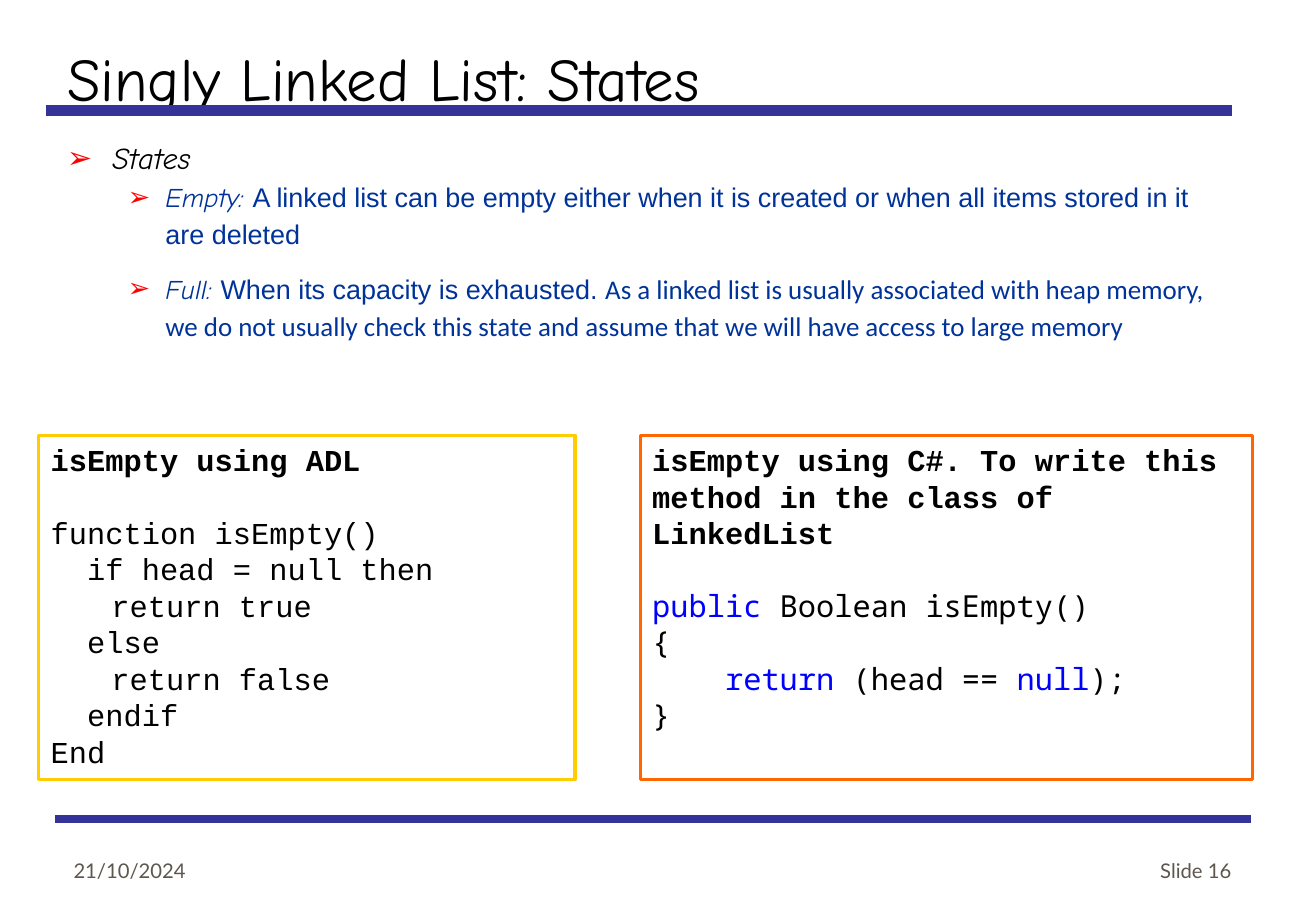
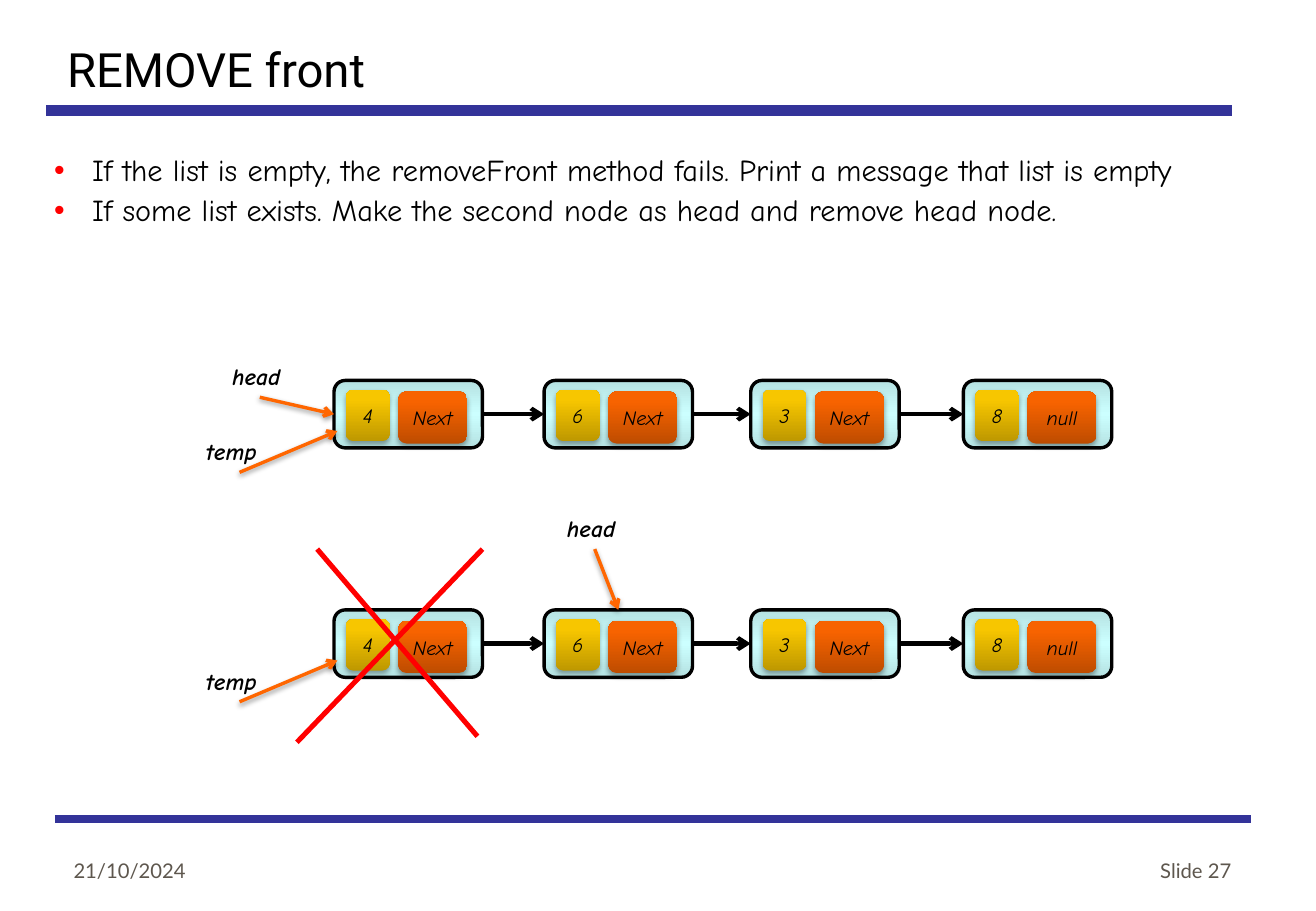
from dataclasses import dataclass

from pptx import Presentation
from pptx.dml.color import RGBColor
from pptx.enum.shapes import MSO_CONNECTOR, MSO_SHAPE
from pptx.enum.text import MSO_ANCHOR, MSO_AUTO_SIZE, PP_ALIGN
from pptx.oxml import parse_xml
from pptx.oxml.ns import nsdecls
from pptx.util import Pt

STRAIGHT = MSO_CONNECTOR.STRAIGHT
RECT, ROUNDED = MSO_SHAPE.RECTANGLE, MSO_SHAPE.ROUNDED_RECTANGLE
TOP, MIDDLE, BOTTOM = MSO_ANCHOR.TOP, MSO_ANCHOR.MIDDLE, MSO_ANCHOR.BOTTOM
LEFT, CENTER, RIGHT = PP_ALIGN.LEFT, PP_ALIGN.CENTER, PP_ALIGN.RIGHT
NO_FIT = MSO_AUTO_SIZE.NONE
SITE_TOP, SITE_LEFT, SITE_RIGHT = 0, 1, 3


@dataclass(frozen=True)
class Theme:
    """Colours, fonts and type sizes of the presentation."""
    black: str = "000000"
    white: str = "FFFFFF"
    rule: str = "333399"
    detail: str = "003399"
    keyword: str = "0000FF"
    red: str = "FF0000"
    orange: str = "FF6600"
    yellow: str = "FFCC00"
    footer: str = "5E574E"
    node_fill: tuple = (90, (0, "B5E2E2"), (50, "CCFFFF"), (100, "B5E2E2"))
    value_fill: tuple = (270, (0, "BE9800"), (80, "F7C600"), (100, "F8C700"))
    link_fill: tuple = (270, (0, "BE4C00"), (80, "F76300"), (100, "F86300"))
    hand: str = "Comic Neue"
    code: str = "Courier New"
    mono: str = "Noto Sans Mono"
    body_size: int = 18
    detail_size: int = 16
    label_size: int = 14
    small_size: int = 12
    code_pitch: float = 21.6


THEME = Theme()


def apply(target, formats):
    """Set every attribute named in formats on target."""
    for name, value in formats.items():
        setattr(target, name, value)


def face(name, size, color=THEME.black, bold=False, italic=False):
    """Return the font and colour formats of a run."""
    return {"name": name, "size": Pt(size), "bold": bold, "italic": italic}, color


HEADING = face(THEME.hand, THEME.body_size, italic=True)
POINT = face(THEME.hand, THEME.body_size)
TERM = face(THEME.hand, THEME.detail_size, THEME.detail, italic=True)
DETAIL = face("Arial", THEME.detail_size, THEME.detail)
REMARK = face("Calibri", THEME.detail_size, THEME.detail)
FOOTER = face("Lato", THEME.small_size, THEME.footer)
CELL = face(THEME.hand, THEME.small_size, italic=True)
LABEL = face(THEME.hand, THEME.label_size, bold=True, italic=True)
CODE_HEAD = face(THEME.code, THEME.body_size, bold=True)
CODE = face(THEME.code, THEME.body_size)
MONO = face(THEME.mono, THEME.body_size)
KEYWORD = face(THEME.mono, THEME.body_size, THEME.keyword)


def write(paragraph, runs, **formats):
    """Fill a paragraph with (text, face) runs."""
    apply(paragraph, formats)
    for text, (font, color) in runs:
        run = paragraph.add_run()
        run.text = text
        apply(run.font, font)
        run.font.color.rgb = RGBColor.from_string(color)


def paragraphs(frame, count):
    """Return the first paragraph of a frame and the added ones."""
    return [frame.paragraphs[0]] + [frame.add_paragraph() for _ in range(count - 1)]


def text_box(slide, box, anchor=TOP):
    """Add a wrapping text box and return its frame."""
    frame = slide.shapes.add_textbox(*map(Pt, box)).text_frame
    apply(frame, {"word_wrap": True, "auto_size": NO_FIT, "vertical_anchor": anchor})
    return frame


def set_effect(shape, blur=0, distance=0, alpha=0):
    """Give a shape a downward shadow, or none when blur is zero."""
    shadow = (f'<a:outerShdw blurRad="{Pt(blur)}" dist="{Pt(distance)}" dir="5400000" rotWithShape="0">'
              f'<a:srgbClr val="{THEME.black}"><a:alpha val="{alpha * 1000}"/></a:srgbClr>'
              '</a:outerShdw>') if blur else ""
    shape._element.spPr.append(parse_xml(f'<a:effectLst {nsdecls("a")}>{shadow}</a:effectLst>'))


def set_gradient(shape, gradient):
    """Fill a shape with a linear gradient given as angle and stops."""
    angle, *stops = gradient
    marks = "".join(f'<a:gs pos="{pos * 1000}"><a:srgbClr val="{color}"/></a:gs>' for pos, color in stops)
    shape.fill.background()
    plain = shape._element.spPr.find("{*}noFill")
    plain.addnext(parse_xml(f'<a:gradFill {nsdecls("a")} rotWithShape="1"><a:gsLst>{marks}</a:gsLst>'
                            f'<a:lin ang="{angle * 60000}" scaled="0"/></a:gradFill>'))
    shape._element.spPr.remove(plain)


def outline(shape, color, width):
    """Colour the line of a shape or connector."""
    shape.line.color.rgb = RGBColor.from_string(color)
    shape.line.width = Pt(width)


def add_line(slide, start, end, color, width, arrow=False, shadow=()):
    """Add a straight line, with an arrowhead at its end if asked."""
    line = slide.shapes.add_connector(STRAIGHT, *map(Pt, (*start, *end)))
    outline(line, color, width)
    if arrow:
        line.line._get_or_add_ln().append(parse_xml(f'<a:tailEnd {nsdecls("a")} type="arrow"/>'))
    set_effect(line, *shadow)
    return line


def add_frame(slide, title, number, title_box, title_face):
    """Write the title, rules and footers that every slide carries."""
    for start, end, width in (((27.5, 65.5), (730, 65.5), 6), ((32.5, 485.5), (741.5, 485.5), 4.5)):
        add_line(slide, start, end, THEME.rule, width)
    holder = slide.shapes.title
    apply(holder, dict(zip(("left", "top", "width", "height"), map(Pt, title_box))))
    frame = holder.text_frame
    apply(frame, {"word_wrap": True, "auto_size": NO_FIT, "vertical_anchor": MIDDLE})
    write(frame.paragraphs[0], [(title, title_face)], alignment=LEFT)
    for left, text, side in ((36.5, "21/10/2024", LEFT), (574, f"Slide {number}", RIGHT)):
        footer = text_box(slide, (left, 490.5, 163, 36), BOTTOM)
        write(footer.paragraphs[0], [(text, FOOTER)], alignment=side)


def add_bullets(slide, box, mark, items):
    """Add a bulleted list of (level, indents, paragraph formats, runs)."""
    frame = text_box(slide, box)
    for paragraph, (level, (margin, hang), formats, runs) in zip(paragraphs(frame, len(items)), items):
        paragraph.level = level
        properties = paragraph._p.get_or_add_pPr()
        properties.set("marL", str(Pt(margin)))
        properties.set("indent", str(-Pt(hang)))
        for xml in (f'<a:buClr {nsdecls("a")}><a:srgbClr val="{THEME.red}"/></a:buClr>',
                    f'<a:buFont {nsdecls("a")} typeface="Arial"/>',
                    f'<a:buChar {nsdecls("a")} char="{mark}"/>'):
            properties.append(parse_xml(xml))
        write(paragraph, runs, **formats)


def add_code(slide, box, color, heading, lines):
    """Add a framed listing with a bold heading."""
    panel = slide.shapes.add_shape(RECT, *map(Pt, box))
    panel.fill.solid()
    panel.fill.fore_color.rgb = RGBColor.from_string(THEME.white)
    outline(panel, color, 2)
    set_effect(panel)
    frame = panel.text_frame
    apply(frame, {"word_wrap": True, "vertical_anchor": TOP})
    pitch = Pt(THEME.code_pitch)
    first, *rest = paragraphs(frame, len(lines) + 1)
    write(first, [(heading, CODE_HEAD)], alignment=LEFT, line_spacing=pitch, space_after=pitch)
    for paragraph, runs in zip(rest, lines):
        write(paragraph, runs, alignment=LEFT, line_spacing=pitch)


def add_cell(slide, box, gradient, text):
    """Add one field of a list node."""
    cell = slide.shapes.add_shape(ROUNDED, *map(Pt, box))
    set_gradient(cell, gradient)
    cell.line.fill.background()
    set_effect(cell, 3.1, 1.8, 35)
    frame = cell.text_frame
    apply(frame, {"word_wrap": True, "vertical_anchor": MIDDLE, "margin_left": Pt(4),
                  "margin_right": Pt(4), "margin_top": Pt(6), "margin_bottom": Pt(6)})
    write(frame.paragraphs[0], [(text, CELL)], alignment=CENTER)


def add_node(slide, left, top, value, link):
    """Add a list node with its value and link fields."""
    node = slide.shapes.add_shape(ROUNDED, *map(Pt, (left, top, 88, 40)))
    set_gradient(node, THEME.node_fill)
    outline(node, THEME.black, 2)
    set_effect(node)
    add_cell(slide, (left + 7, top + 5.5, 26, 30.5), THEME.value_fill, value)
    add_cell(slide, (left + 38, top + 6.5, 41, 31), THEME.link_fill, link)
    return node


def add_chain(slide, left, top):
    """Add the linked nodes in a row and return them."""
    fields = ((0, "4", "Next"), (124.5, "6", "Next"), (247, "3", "Next"), (373, "8", "null"))
    nodes = [add_node(slide, left + shift, top, value, link) for shift, value, link in fields]
    for node, following in zip(nodes, nodes[1:]):
        arrow = add_line(slide, (left, top), (left, top), THEME.black, 2.5, arrow=True)
        arrow.begin_connect(node, SITE_RIGHT)
        arrow.end_connect(following, SITE_LEFT)
    return nodes


def add_pointer(slide, name, left, top, width, end):
    """Add a named reference with an arrow from below its label."""
    height = 24.5
    label = text_box(slide, (left, top, width, height))
    write(label.paragraphs[0], [(name, LABEL)])
    return add_line(slide, (left + width / 2, top + height), end, THEME.orange, 2,
                    arrow=True, shadow=(3.1, 1.6, 38))


def add_state(slide, left, top, head_shift, head_node, head_site):
    """Add one stage of the list with its head and temp references."""
    nodes = add_chain(slide, left, top)
    head = add_pointer(slide, "head", left + head_shift[0], top + head_shift[1], 47, (left, top))
    head.end_connect(nodes[head_node], head_site)
    add_pointer(slide, "temp", left - 83, top + 30, 54, (left + 2, top + 30))


def add_cross(slide, left, top):
    """Strike out the first node of a chain."""
    for start, end in (((-22, 78.5), (88, -36)), ((-10, -36), (85, 75))):
        add_line(slide, (left + start[0], top + start[1]), (left + end[0], top + end[1]), THEME.red, 3)


def build_states(slide):
    """Build the slide on the states of a list."""
    add_frame(slide, "Singly Linked List: States", 16, (32.5, 20, 663, 51), face(THEME.hand, 36))
    nested = (1, (58.5, 22.5), {"line_spacing": 1.15, "space_after": Pt(10)})
    add_bullets(slide, (32.5, 77, 698, 145.5), "➢", [
        (0, (27, 27), {"line_spacing": 1.1}, [("States", HEADING)]),
        (*nested, [("Empty: ", TERM),
                   ("A linked list can be empty either when it is created or when all items "
                    "stored in it are deleted", DETAIL)]),
        (*nested, [("Full: ", TERM), ("When its capacity is exhausted. ", DETAIL),
                   ("As a linked list is usually associated with heap memory, we do not usually check "
                    "this state and assume that we will have access to large memory", REMARK)]),
    ])
    adl = ("function isEmpty()", "  if head = null then", "\treturn true", "  else",
           "\treturn false", "  endif", "End")
    add_code(slide, (23, 258, 318, 204), THEME.yellow, "isEmpty using ADL",
             [[(line, CODE)] for line in adl])
    add_code(slide, (379.5, 258, 363, 204), THEME.orange,
             "isEmpty using C#. To write this method in the class of LinkedList", [
                 [("public", KEYWORD), (" Boolean isEmpty()", MONO)],
                 [("{", MONO)],
                 [("    ", MONO), ("return", KEYWORD), (" (head == ", MONO), ("null", KEYWORD), (");", MONO)],
                 [("}", MONO)],
             ])


def build_remove(slide):
    """Build the slide on removing the front node."""
    add_frame(slide, "REMOVE front", 27, (32.5, 20, 663, 41), face("Roboto", 28))
    points = ("If the list is empty, the removeFront method fails. Print a message that list is empty",
              "If some list exists. Make the second node as head and remove head node.")
    add_bullets(slide, (25, 84, 698, 71.5), "•",
                [(0, (22.5, 22.5), {"line_spacing": 1.1}, [(point, POINT)]) for point in points])
    left, before, after = 198, 225.5, 361.5
    add_state(slide, left, before, (-67.5, -14.5), 0, SITE_LEFT)
    add_state(slide, left, after, (131, -60.5), 1, SITE_TOP)
    add_cross(slide, left, after)


def main():
    """Build and save the presentation."""
    deck = Presentation()
    apply(deck, {"slide_width": Pt(780), "slide_height": Pt(540)})
    for build in (build_states, build_remove):
        build(deck.slides.add_slide(deck.slide_layouts[5]))
    deck.save("out.pptx")


if __name__ == "__main__":
    main()
